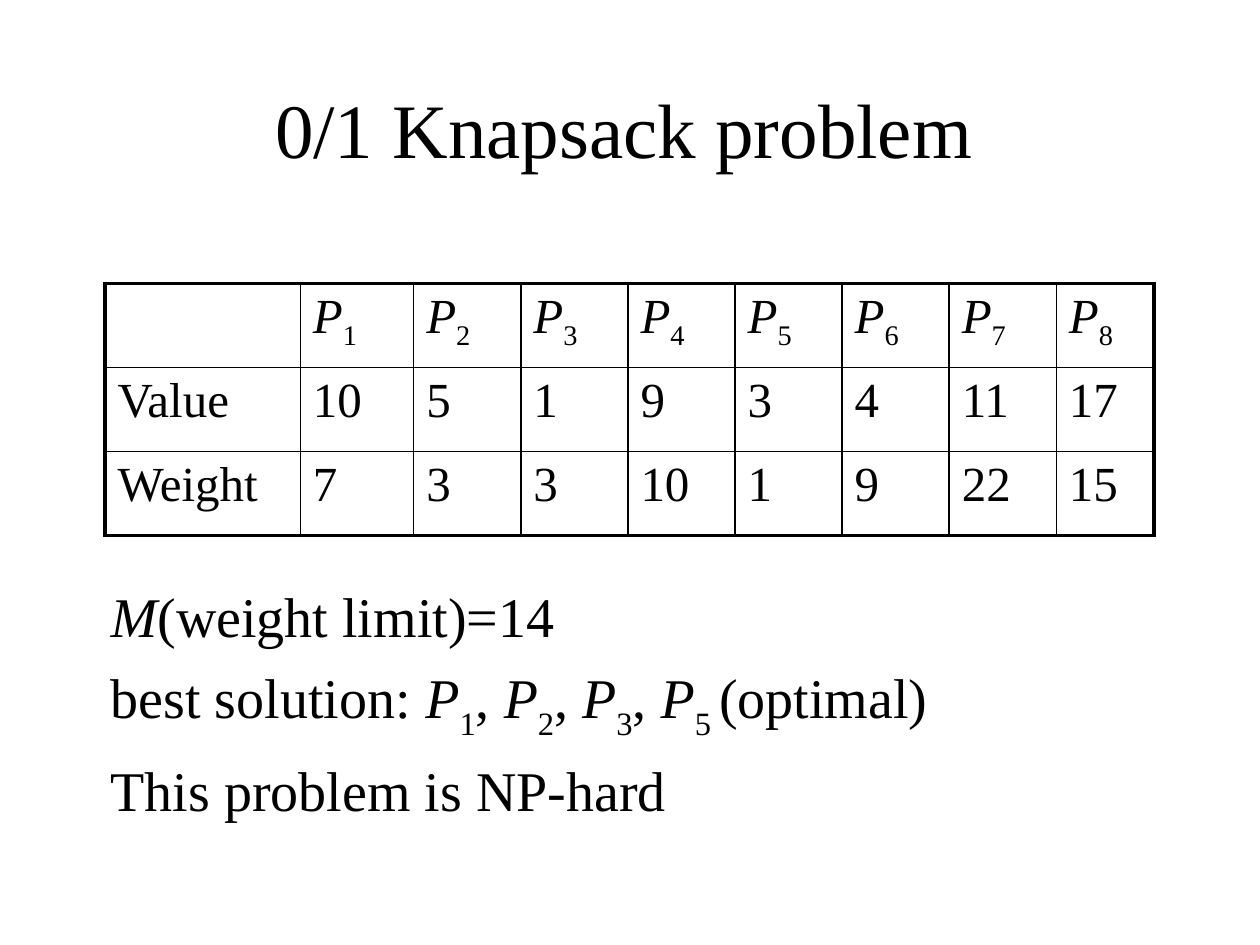
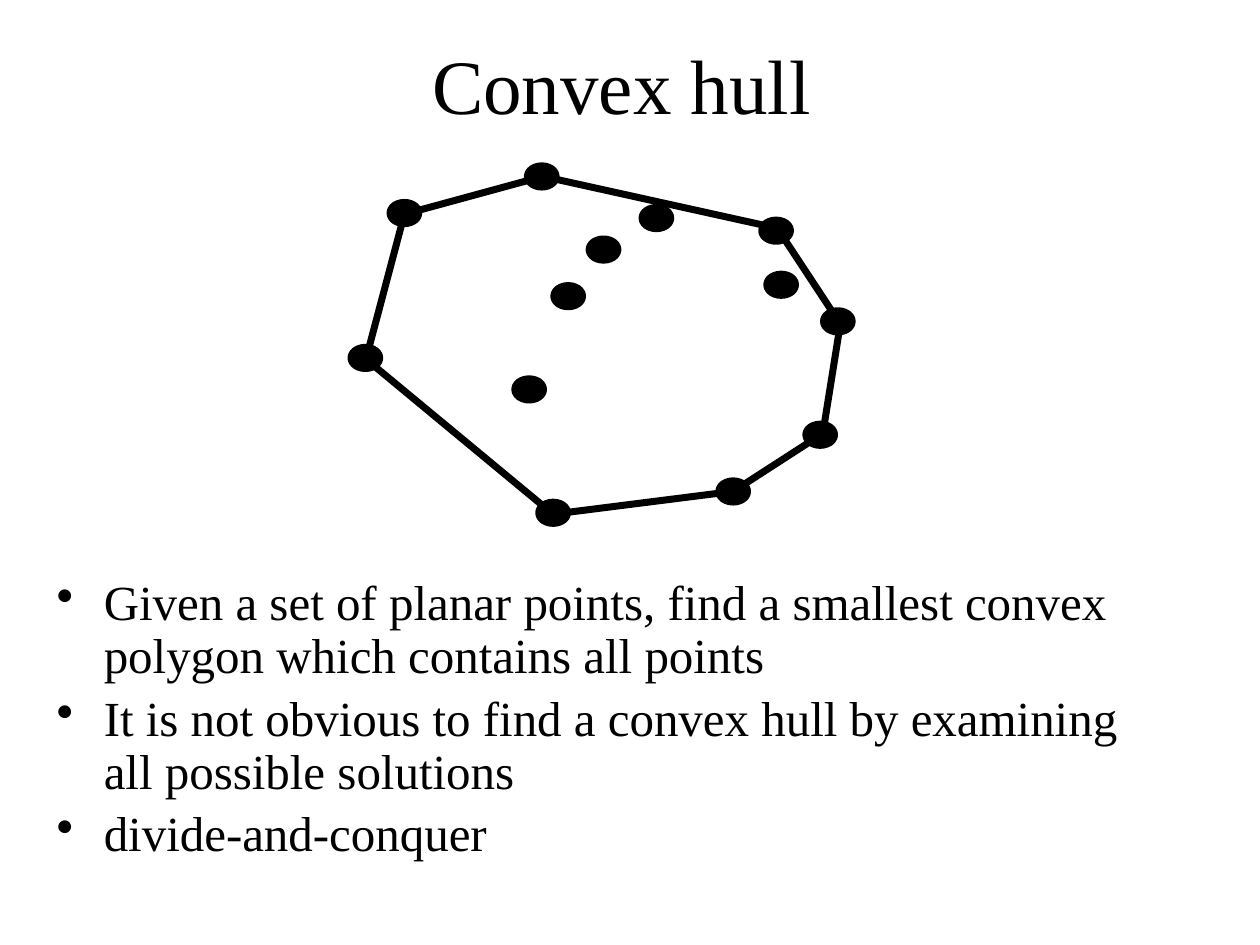
from dataclasses import dataclass
from lxml import etree
from pptx import Presentation
from pptx import util as u
from pptx.dml import color
from pptx.enum import shapes, text
from pptx.oxml import ns

Pt = u.Pt


@dataclass(frozen=True)
class Theme:
    ink: color.RGBColor = color.RGBColor(0, 0, 0)
    paper: color.RGBColor = color.RGBColor(255, 255, 255)
    face: str = "Times New Roman"
    title: int = 44
    body: int = 32
    small: int = 28
    thin: float = 1
    thick: float = 2.25
    hull: float = 4
    dot: float = 6


LOOK = Theme()


def assign(item, form):
    for name, value in form.items():
        setattr(item, name, value)


def fill_para(para, runs, size, form=None, drop=-30):
    """Write (text, style) runs; style "i" is italic, "s" is subscript."""
    assign(para, form or {})
    for words, style in runs:
        run = para.add_run()
        run.text = words
        assign(run.font, {"name": LOOK.face, "size": Pt(size),
                          "italic": style == "i"})
        run.font.color.rgb = LOOK.ink
        if style == "s":
            run._r.get_or_add_rPr().set("baseline", str(drop * 1000))


def add_box(slide, box, anchor=text.MSO_ANCHOR.TOP):
    frame = slide.shapes.add_textbox(*map(Pt, box)).text_frame
    assign(frame, {"word_wrap": True, "vertical_anchor": anchor})
    return frame


def add_title(slide, box, words):
    frame = add_box(slide, box, text.MSO_ANCHOR.MIDDLE)
    fill_para(frame.paragraphs[0], [(words, "")], LOOK.title,
              {"alignment": text.PP_ALIGN.CENTER})


def add_body(slide, box, lines, size, gap, form=None, mark=None):
    """Stack paragraphs, with a hanging bullet when a mark is given."""
    frame = add_box(slide, box)
    for n, runs in enumerate(lines):
        para = frame.add_paragraph() if n else frame.paragraphs[0]
        if mark:
            props = para._p.get_or_add_pPr()
            props.set("marL", str(Pt(27)))
            props.set("indent", str(-Pt(27)))
            etree.SubElement(props, ns.qn("a:buChar")).set("char", mark)
        fill_para(para, runs, size,
                  {**(form or {}), "space_before": Pt(gap if n else 0)})


def add_edge(cell, side, width):
    line = etree.SubElement(cell._tc.get_or_add_tcPr(), ns.qn("a:ln" + side))
    line.set("w", str(Pt(width)))
    paint = etree.SubElement(line, ns.qn("a:solidFill"))
    etree.SubElement(paint, ns.qn("a:srgbClr")).set("val", str(LOOK.ink))


def add_grid(slide, box, rows, widths):
    """Draw a ruled table with a heavy outer frame."""
    table = slide.shapes.add_table(len(rows), len(widths),
                                   *map(Pt, box)).table
    assign(table, {"first_row": False, "horz_banding": False})
    for col, width in zip(table.columns, widths):
        col.width = Pt(width)
    for r, row in enumerate(rows):
        table.rows[r].height = Pt(box[3] / len(rows))
        for c, runs in enumerate(row):
            cell = table.cell(r, c)
            outer = {"L": c == 0, "R": c == len(widths) - 1,
                     "T": r == 0, "B": r == len(rows) - 1}
            for side, edge in outer.items():
                add_edge(cell, side, LOOK.thick if edge else LOOK.thin)
            cell.fill.background()
            fill_para(cell.text_frame.paragraphs[0], runs, LOOK.small,
                      drop=-25)


def style_line(shape, width):
    shape.shadow.inherit = False
    shape.line.color.rgb = LOOK.ink
    shape.line.width = Pt(width)


def add_hull(slide, box, corners, dots):
    """Draw the outline and its points from the top left of the box."""
    left, top = box[:2]
    spots = [(Pt(left + x), Pt(top + y)) for x, y in corners]
    path = slide.shapes.build_freeform(*spots[0], scale=1.0)
    path.add_line_segments(spots[1:], close=True)
    ring = path.convert_to_shape()
    ring.fill.background()
    style_line(ring, LOOK.hull)
    for x, y in dots:
        dot = slide.shapes.add_shape(shapes.MSO_SHAPE.OVAL, Pt(left + x),
                                     Pt(top + y), Pt(14.4), Pt(10.1))
        dot.fill.solid()
        dot.fill.fore_color.rgb = LOOK.ink
        style_line(dot, LOOK.dot)


def new_slide(deck):
    slide = deck.slides.add_slide(deck.slide_layouts[6])
    slide.background.fill.solid()
    slide.background.fill.fore_color.rgb = LOOK.paper
    return slide


def item(n):
    return [("P", "i"), (str(n), "s")]


def knapsack(deck):
    slide = new_slide(deck)
    add_title(slide, (55.4, 28, 613.4, 90), "0/1 Knapsack problem ")
    # Items with their values and weights
    data = {"Value": (10, 5, 1, 9, 3, 4, 11, 17),
            "Weight": (7, 3, 3, 10, 1, 9, 22, 15)}
    rows = [[[]] + [item(n) for n in range(1, 9)]]
    rows += [[[(str(v), "")] for v in (name, *vals)]
             for name, vals in data.items()]
    add_grid(slide, (60, 162, 600, 144), rows,
             [111.6, 64.8] + [61.2] * 6 + [55.8])
    # Limit and best choice
    best = [("best solution: ", "")]
    for n in (1, 2, 3):
        best += item(n) + [(", ", "")]
    best += [("P", "i"), ("5 ", "s"), ("(optimal)", "")]
    add_body(slide, (56.2, 329, 612, 141),
             [[("M", "i"), ("(weight limit)=14", "")], best,
              [("This problem is NP-hard", "")]], LOOK.body, 7.7)


def convex(deck):
    slide = new_slide(deck)
    add_title(slide, (54, 18, 613.4, 60), "Convex hull ")
    # Outline corners, then outer and inner points
    corners = [(108.7, 5), (242.6, 34.6), (278.6, 89.3), (268.6, 151.9),
               (217.4, 185), (114.5, 198), (5.8, 108), (7.9, 108),
               (29.5, 26.6)]
    outer = [(100.8, 0), (234.7, 31), (270, 82.8), (259.9, 147.6),
             (210.2, 180), (107.3, 192.2), (0, 103.7), (22.3, 20.9)]
    inner = [(237.6, 61.9), (166.3, 23.8), (136.1, 41.8), (115.9, 68.4),
             (93.6, 121.7)]
    add_hull(slide, (201.6, 95.8, 284.4, 202.3), corners, outer + inner)
    # Notes on the task
    lines = ["Given a set of planar points, find a smallest convex "
             "polygon which contains all points",
             "It is not obvious to find a convex hull by examining "
             "all possible solutions",
             "divide-and-conquer"]
    add_body(slide, (25.2, 326.9, 646.6, 190.8),
             [[(line, "")] for line in lines], LOOK.small, 5.6,
             {"line_spacing": 0.9}, "•")


def main():
    deck = Presentation()
    assign(deck, {"slide_width": Pt(720), "slide_height": Pt(540)})
    knapsack(deck)
    convex(deck)
    deck.save("out.pptx")


if __name__ == "__main__":
    main()
